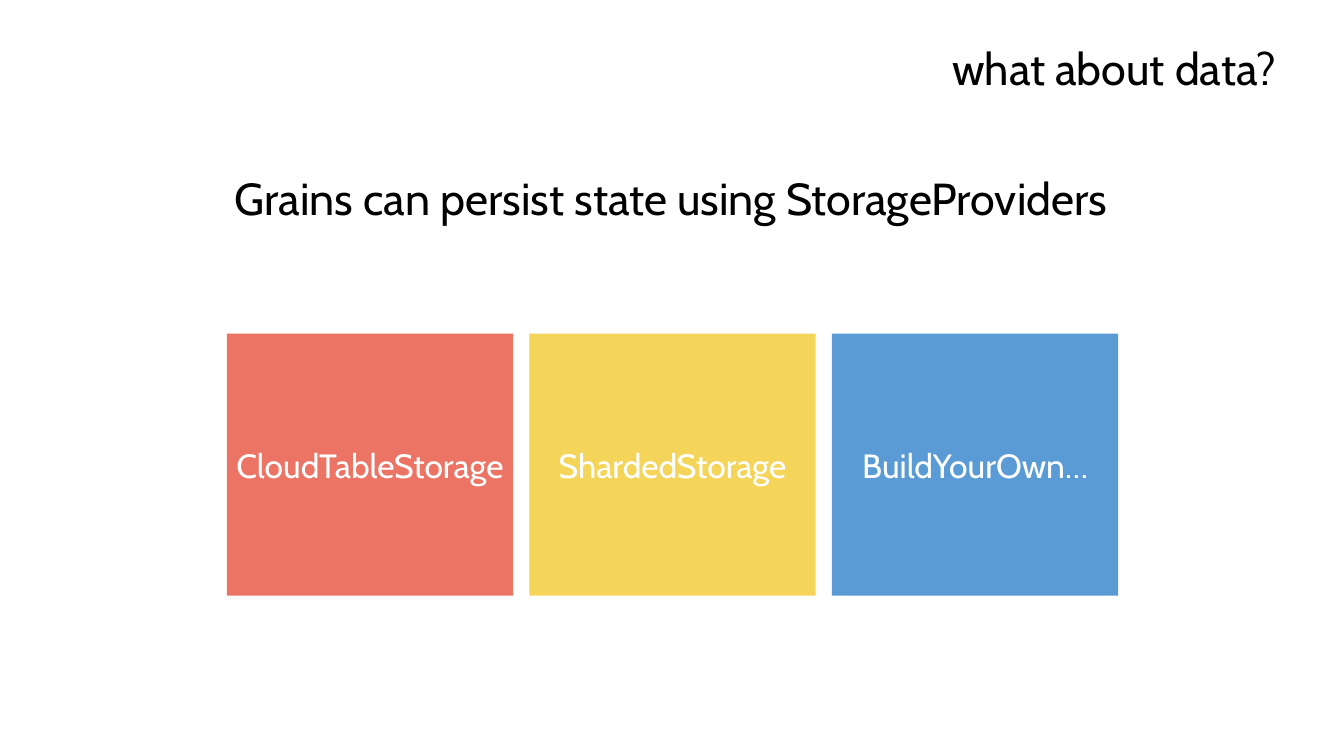
import pptx
import pptx.util
import pptx.dml.color
import pptx.enum.shapes
import pptx.enum.text
from dataclasses import dataclass

Inches = pptx.util.Inches
Color = pptx.dml.color.RGBColor.from_string
Align = pptx.enum.text.PP_ALIGN


@dataclass(frozen=True)
class Theme:
    font: str = "Cabin"
    head: int = 32
    label: int = 24
    dark: str = "000000"
    light: str = "FFFFFF"
    red: str = "EC7465"
    yellow: str = "F4D55A"
    blue: str = "5B9BD5"


theme = Theme()


def write(frame, text, size, color, align):
    para = frame.paragraphs[0]
    para.alignment = align
    run = para.add_run()
    run.text = text
    run.font.name = theme.font
    run.font.size = pptx.util.Pt(size)
    run.font.color.rgb = Color(color)


deck = pptx.Presentation()
deck.slide_width = Inches(13.33)
deck.slide_height = Inches(7.5)
slide = deck.slides.add_slide(deck.slide_layouts[6])

# Title and statement
lines = [
    ("what about data?", 3.73, 0.35, 9.03, Align.RIGHT),
    ("Grains can persist state using StorageProviders", 1.77, 1.64, 9.78, Align.CENTER),
]
for text, left, top, width, align in lines:
    box = slide.shapes.add_textbox(Inches(left), Inches(top), Inches(width), Inches(0.64))
    box.text_frame.word_wrap = True
    write(box.text_frame, text, theme.head, theme.dark, align)

# Row of storage providers
stores = [
    ("CloudTableStorage", theme.red),
    ("ShardedStorage", theme.yellow),
    ("BuildYourOwn…", theme.blue),
]
start, pitch = 2.25, 3.0
for i, (name, fill) in enumerate(stores):
    tile = slide.shapes.add_shape(
        pptx.enum.shapes.MSO_SHAPE.RECTANGLE,
        Inches(start + i * pitch), Inches(3.31), Inches(2.84), Inches(2.6))
    tile.shadow.inherit = False
    tile.fill.solid()
    tile.fill.fore_color.rgb = Color(fill)
    tile.line.fill.background()
    frame = tile.text_frame
    frame.word_wrap = False
    frame.vertical_anchor = pptx.enum.text.MSO_ANCHOR.MIDDLE
    write(frame, name, theme.label, theme.light, Align.CENTER)

deck.save("out.pptx")
